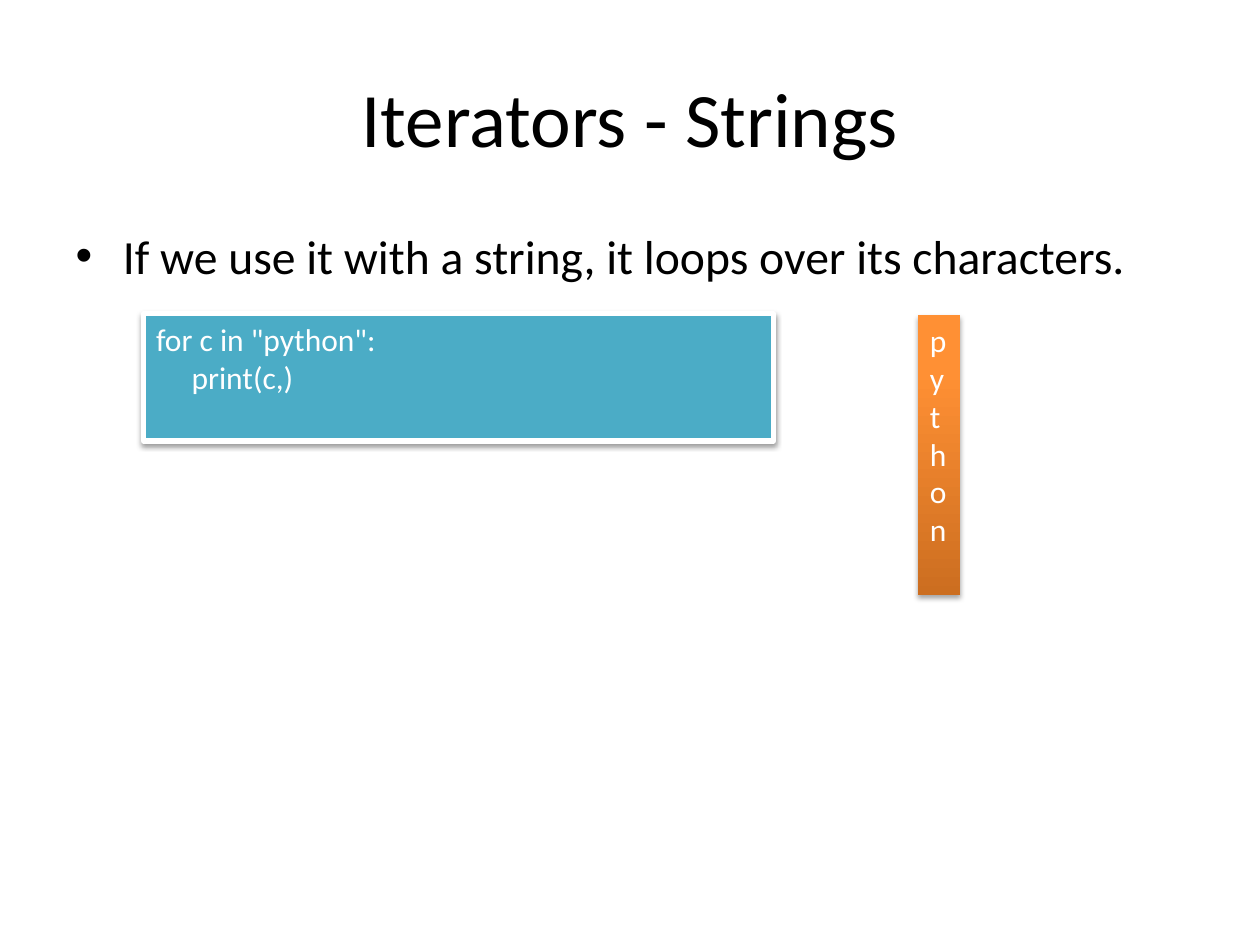
from copy import deepcopy

from lxml import etree
from pptx import Presentation
from pptx.dml.color import RGBColor
from pptx.enum.shapes import MSO_SHAPE
from pptx.enum.text import MSO_ANCHOR, MSO_AUTO_SIZE, PP_ALIGN
from pptx.oxml.ns import qn
from pptx.util import Pt

RECTANGLE = MSO_SHAPE.RECTANGLE
TOP, MIDDLE = MSO_ANCHOR.TOP, MSO_ANCHOR.MIDDLE
LEFT, CENTER = PP_ALIGN.LEFT, PP_ALIGN.CENTER
NO_FIT = MSO_AUTO_SIZE.NONE


def rgb(value):
    return RGBColor.from_string(value)


def write(frame, lines, size, color, align, anchor):
    frame.auto_size = NO_FIT
    frame.vertical_anchor = anchor
    for index, line in enumerate(lines):
        paragraph = frame.add_paragraph() if index else frame.paragraphs[0]
        paragraph.alignment = align
        run = paragraph.add_run()
        run.text = line
        run.font.name = "Calibri"
        run.font.size = Pt(size)
        run.font.color.rgb = rgb(color)


deck = Presentation()
deck.slide_width, deck.slide_height = Pt(720), Pt(540)
slide = deck.slides.add_slide(deck.slide_layouts[1])

# Title and bullet
title, bullet = slide.placeholders
for holder, top, height in ((title, 21.6, 90), (bullet, 126, 53.3)):
    holder.left, holder.top = Pt(36), Pt(top)
    holder.width, holder.height = Pt(648), Pt(height)
write(title.text_frame, ["Iterators - Strings"], 44, "000000", CENTER, MIDDLE)
write(bullet.text_frame,
      ["If we use it with a string, it loops over its characters."],
      27.2, "000000", LEFT, TOP)

# Code box and its output
code = slide.shapes.add_shape(RECTANGLE, Pt(82.1), Pt(179.3), Pt(360), Pt(72.7))
code.fill.solid()
code.fill.fore_color.rgb = rgb("4BACC6")
code.line.color.rgb = rgb("FFFFFF")
code.line.width = Pt(3)
write(code.text_frame, ['for c in "python":', "print(c,)"], 18, "FFFFFF", LEFT, TOP)
code.text_frame.paragraphs[1]._p.get_or_add_pPr().set("marL", str(Pt(20.3)))

output = slide.shapes.add_shape(RECTANGLE, Pt(524.3), Pt(180), Pt(24.3), Pt(159.9))
output.line.fill.background()
output.fill.gradient()
output.fill.gradient_angle = 90
stop_list = output._element.spPr.find(".//" + qn("a:gsLst"))
stop_list.append(deepcopy(stop_list[-1]))
stops = ((0, "CC6E20"), (0.8, "FF9034"), (1, "FF9136"))
for stop, (position, color) in zip(output.fill.gradient_stops, stops):
    stop.position = position
    stop.color.rgb = rgb(color)
write(output.text_frame, "python", 18, "FFFFFF", LEFT, TOP)
output.text_frame.word_wrap = False

# Soft shadows below both boxes
for box, opacity, distance in ((code, 38, 1.6), (output, 35, 1.8)):
    box.shadow.inherit = False
    effects = box._element.spPr.find(qn("a:effectLst"))
    shadow = etree.SubElement(effects, qn("a:outerShdw"), blurRad=str(Pt(3.1)),
                              dist=str(Pt(distance)), dir="5400000", rotWithShape="0")
    shade = etree.SubElement(shadow, qn("a:srgbClr"), val="000000")
    etree.SubElement(shade, qn("a:alpha"), val=str(opacity * 1000))

deck.save("out.pptx")
